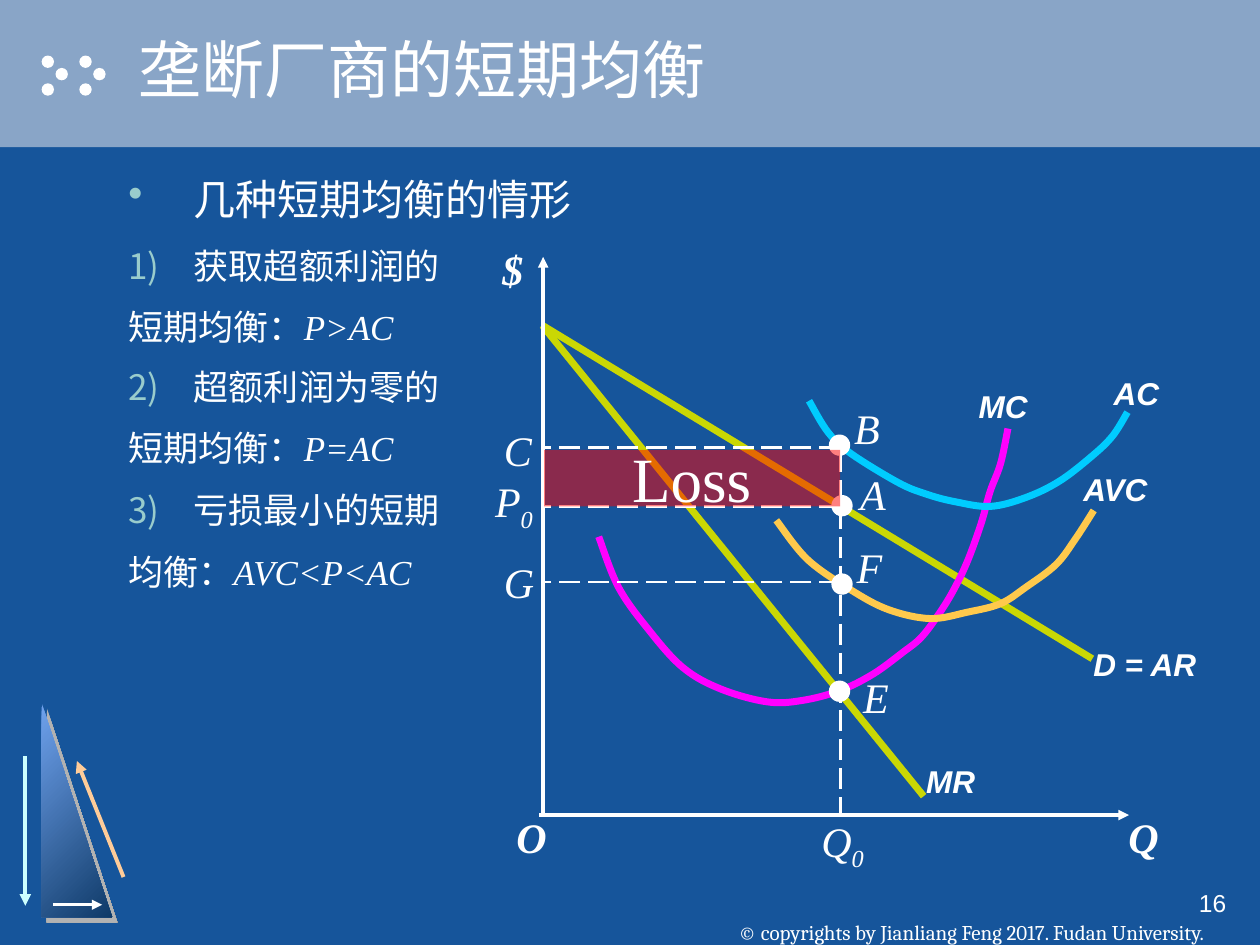
from lxml import etree
from pptx import Presentation, util as u
from pptx.dml.color import RGBColor
from pptx.enum import dml, shapes, text
from pptx.oxml import parse_xml
from pptx.oxml.ns import qn

WHITE = RGBColor(0xFF, 0xFF, 0xFF)
BLUE = RGBColor(0x16, 0x55, 0x9B)
BAND = RGBColor(0x89, 0xA5, 0xC7)
SKY = RGBColor(0x6F, 0xA2, 0xED)
NAVY = RGBColor(0x0F, 0x3A, 0x68)
ICE = RGBColor(0xCC, 0xFF, 0xFF)
PEACH = RGBColor(0xFF, 0xCC, 0x99)
LIME = RGBColor(0xCA, 0xD7, 0x04)
PINK = RGBColor(0xFF, 0x00, 0xFF)
CYAN = RGBColor(0x00, 0xCC, 0xFF)
AMBER = RGBColor(0xFF, 0xC9, 0x4C)
RED = RGBColor(0xFF, 0x00, 0x00)
NS = 'xmlns:a="http://schemas.openxmlformats.org/drawingml/2006/main"'
SHADE = ('<a:outerShdw %s blurRad="0" dist="%d" dir="2700000" algn="ctr" rotWithShape="0">'
         '<a:srgbClr val="%s"/></a:outerShdw>')
TIMES = "Times New Roman"
LEFT, MID, RIGHT = text.PP_ALIGN.LEFT, text.PP_ALIGN.CENTER, text.PP_ALIGN.RIGHT
OVAL, RECT = shapes.MSO_SHAPE.OVAL, shapes.MSO_SHAPE.RECTANGLE

prs = Presentation()
prs.slide_width, prs.slide_height = u.Cm(25.4), u.Cm(19.05)
slide = prs.slides.add_slide(prs.slide_layouts[6])
slide.background.fill.solid()
slide.background.fill.fore_color.rgb = BLUE
tree = slide.shapes


def write(paras, x, y, w, h, size=24, font=TIMES, bold=False, ital=False, align=LEFT,
          wrap=True, anchor=text.MSO_ANCHOR.TOP, space=0, lead=None, bullet=None):
    """Each paragraph is a list of (words, style) pairs; style overrides the run format."""
    box = tree.add_textbox(u.Cm(x), u.Cm(y), u.Cm(w), u.Cm(h))
    frame = box.text_frame
    frame.word_wrap, frame.vertical_anchor = wrap, anchor
    for i, runs in enumerate(paras):
        para = frame.paragraphs[0] if i == 0 else frame.add_paragraph()
        para.alignment = align
        if lead:
            para.line_spacing = lead
        if i:
            para.space_before = u.Pt(space)
        if bullet is not None and i == 0:
            props = para._p.get_or_add_pPr()
            props.set("marL", str(u.Cm(1.32)))
            props.set("indent", str(-u.Cm(1.32)))
            props.append(parse_xml(f'<a:buClr {NS}><a:srgbClr val="99CCCC"/></a:buClr>'))
            props.append(parse_xml(bullet))
        for words, style in runs:
            run = para.add_run()
            run.text = words
            run.font.size, run.font.bold = u.Pt(size), bold
            run.font.italic = style.get("ital", ital)
            run.font.name = style.get("font", font)
            run.font.color.rgb = WHITE
            if "base" in style:
                run.font._element.set("baseline", str(style["base"]))
    return box


def draw(x1, y1, x2, y2, color, width, arrow=False, dash=False):
    line = tree.add_connector(shapes.MSO_CONNECTOR.STRAIGHT,
                              u.Cm(x1), u.Cm(y1), u.Cm(x2), u.Cm(y2))
    line.line.color.rgb, line.line.width = color, u.Pt(width)
    if dash:
        line.line.dash_style = dml.MSO_LINE.LONG_DASH
    if arrow:
        line.line._get_or_add_ln().append(parse_xml(f'<a:tailEnd {NS} type="triangle"/>'))
    etree.SubElement(line._element.spPr, qn("a:effectLst"))


# Header band, its dots, and the dots on the graph come from one list
white = [(x + dx, y, 0.25) for x in (0.84, 1.6) for dx, y in ((0, 1.12), (0.28, 1.37), (0, 1.68))]
marks = [(16.71, 8.76, 0.43), (16.76, 11.56, 0.43), (16.71, 13.72, 0.43), (16.76, 9.98, 0.43)]
band = tree.add_shape(RECT, 0, 0, prs.slide_width, u.Cm(2.97))
band.shadow.inherit = False
band.fill.solid()
band.fill.fore_color.rgb = BAND
band.line.fill.background()

# Triangle with arrows
tri = tree.add_shape(shapes.MSO_SHAPE.RIGHT_TRIANGLE,
                     u.Cm(0.84), u.Cm(14.17), u.Cm(1.42), u.Cm(4.32))
tri.shadow.inherit = False
tri._element.spPr.find(qn("a:effectLst")).append(parse_xml(SHADE % (NS, u.Pt(4.2), "B2B2B2")))
tri.fill.gradient()
tri.fill.gradient_angle = 315
for stop, color in zip(tri.fill.gradient_stops, (SKY, NAVY)):
    stop.color.rgb = color
tri.line.fill.background()
draw(0.51, 15.24, 0.51, 18.26, ICE, 2.25, arrow=True)
draw(2.49, 17.68, 1.55, 15.34, PEACH, 2.25, arrow=True)
draw(1.07, 18.24, 2.06, 18.24, WHITE, 1.5, arrow=True)

# Footer and page number
foot = write([[("© copyrights by Jianliang Feng 2017. Fudan University.", {})]],
             13.77, 17.78, 11.63, 1.27, size=12, font="Cambria", align=MID,
             wrap=False, anchor=text.MSO_ANCHOR.BOTTOM)
foot.text_frame.margin_bottom = 0
write([[("16", {})]], 19.69, 17.78, 5.28, 1.27, size=14, font="Arial", align=RIGHT)

# Title with a text shadow
title = write([[("垄断厂商的短期均衡", {})]], 2.54, 0, 22.86, 2.74, size=36, font="Arial",
              anchor=text.MSO_ANCHOR.MIDDLE)
props = title.text_frame.paragraphs[0].runs[0].font._element
props.find(qn("a:solidFill")).addnext(
    parse_xml(f'<a:effectLst {NS}>{SHADE % (NS, u.Pt(2), "000000")}</a:effectLst>'))

# Cases of equilibrium
write([[("几种短期均衡的情形", {})]], 2.34, 3.38, 20.75, 1.2,
      bullet=f'<a:buChar {NS} char="•"/>')
cases = [(4.8, "获取超额利润的", "短期均衡：", "P>AC"),
         (7.24, "超额利润为零的", "短期均衡：", "P=AC"),
         (9.73, "亏损最小的短期", "均衡：", "AVC<P<AC")]
for num, (y, head, rest, rule) in enumerate(cases, 1):
    write([[(head, {})], [(rest, {}), (rule, {"font": TIMES, "ital": True})]],
          2.34, y, 20.75, 2.36, size=20, font="Arial", space=11.2,
          bullet=f'<a:buAutoNum {NS} type="arabicParenR" startAt="{num}"/>')

# Demand, marginal revenue and axes
draw(10.92, 6.55, 22.02, 13.28, LIME, 4)
draw(10.95, 6.58, 18.62, 16.05, LIME, 4)
draw(10.95, 16.41, 10.95, 5.18, WHITE, 2, arrow=True)
draw(10.87, 16.43, 22.76, 16.43, WHITE, 2, arrow=True)

# Cost curves, smoothed through their points
curves = [
    (PINK, [(12.07, 10.82), (12.47, 11.84), (13.08, 12.7), (13.77, 13.46), (14.53, 13.89),
            (15.47, 14.15), (16.18, 14.12), (16.94, 13.92), (17.6, 13.59), (18.19, 13.16),
            (18.59, 12.83), (19, 12.27), (19.28, 11.79), (19.53, 11.25), (19.79, 10.52),
            (19.96, 9.91), (20.17, 9.35), (20.32, 8.64)]),
    (CYAN, [(16.31, 8.08), (16.69, 8.71), (17.15, 9.14), (18.11, 9.73), (18.67, 9.96),
            (19.23, 10.11), (19.96, 10.21), (20.68, 10.03), (21.36, 9.7), (22.02, 9.19),
            (22.43, 8.79), (22.73, 8.31)]),
    (AMBER, [(15.65, 10.49), (16.28, 11.28), (17.15, 11.89), (17.91, 12.29), (18.75, 12.47),
             (19.51, 12.34), (20.17, 12.17), (20.68, 11.84), (21.29, 11.38), (21.69, 10.85),
             (22.05, 10.29)]),
]
for color, knots in curves:
    spots = [(u.Cm(x), u.Cm(y)) for x, y in knots]
    pen = tree.build_freeform(*spots[0])
    pen.add_line_segments(spots[1:], close=False)
    curve = pen.convert_to_shape()
    curve.shadow.inherit = False
    curve.fill.background()
    curve.line.color.rgb, curve.line.width = color, u.Pt(4)
    pts = [(int(p.get("x")), int(p.get("y"))) for p in curve._element.iter(qn("a:pt"))]
    ends = [pts[0], *pts, pts[-1]]
    for i, seg in enumerate(list(curve._element.iter(qn("a:lnTo")))):
        a, b, c, d = ends[i:i + 4]
        bend = etree.Element(qn("a:cubicBezTo"))
        for x, y in ((b[0] + (c[0] - a[0]) / 6, b[1] + (c[1] - a[1]) / 6),
                     (c[0] - (d[0] - b[0]) / 6, c[1] - (d[1] - b[1]) / 6), c):
            etree.SubElement(bend, qn("a:pt"), x=str(round(x)), y=str(round(y)))
        seg.getparent().replace(seg, bend)

# Dashed guides
for x1, y1, x2, y2 in ((16.94, 9.09, 16.94, 10.13), (16.94, 9.02, 10.9, 9.02),
                       (16.94, 11.73, 10.95, 11.73), (16.94, 10.24, 16.94, 16.46),
                       (16.94, 10.21, 10.9, 10.21)):
    draw(x1, y1, x2, y2, WHITE, 1.5, dash=True)

# Dots
for x, y, size in white + marks:
    dot = tree.add_shape(OVAL, u.Cm(x), u.Cm(y), u.Cm(size), u.Cm(size))
    dot.shadow.inherit = False
    dot.fill.solid()
    dot.fill.fore_color.rgb = WHITE
    dot.line.fill.background()

# Curve names
for name, x, y, w, lead in (("D = AR", 21.79, 12.88, 2.59, None), ("MR", 18.42, 15.24, 1.5, None),
                            ("MC", 19.48, 7.67, 1.5, None), ("AC", 22.2, 7.42, 1.42, None),
                            ("AVC", 21.59, 9.19, 1.85, 1.2)):
    write([[(name, {})]], x, y, w, 1.02, size=18, font="Arial", bold=True, ital=True,
          wrap=False, lead=lead)

# Axis and point names, with an optional subscript
for name, sub, x, y, w, bold in (
        ("Q", "", 22.5, 16.23, 1.12, True), ("$", "", 9.88, 4.78, 0.91, True),
        ("O", "", 10.16, 16.23, 1.12, True), ("B", "", 16.97, 7.98, 1.02, False),
        ("C", "", 9.91, 8.43, 1.07, False), ("F", "", 17.02, 10.8, 1.02, False),
        ("G", "", 9.91, 11.1, 1.12, False), ("E", "", 17.15, 13.41, 1.02, False),
        ("A", "", 17.09, 9.32, 1.02, False), ("P", "0", 9.73, 9.47, 1.27, False),
        ("Q", "0", 16.31, 16.31, 1.37, False)):
    runs = [(name, {})] + ([(sub, {"base": -25000})] if sub else [])
    write([runs], x, y, w, 1.27, bold=bold, ital=True, wrap=False)

# Loss area
loss = tree.add_shape(RECT, u.Cm(10.97), u.Cm(9.07), u.Cm(5.97), u.Cm(1.14))
loss.shadow.inherit = False
loss.fill.solid()
loss.fill.fore_color.rgb = RED
tint = loss._element.spPr.find(qn("a:solidFill"))[0]
etree.SubElement(tint, qn("a:alpha"), val="50000")
loss.line.fill.background()
write([[("Loss", {})]], 11.15, 8.43, 5.59, 2.08, size=36, align=MID, lead=1.2)

prs.save("out.pptx")
